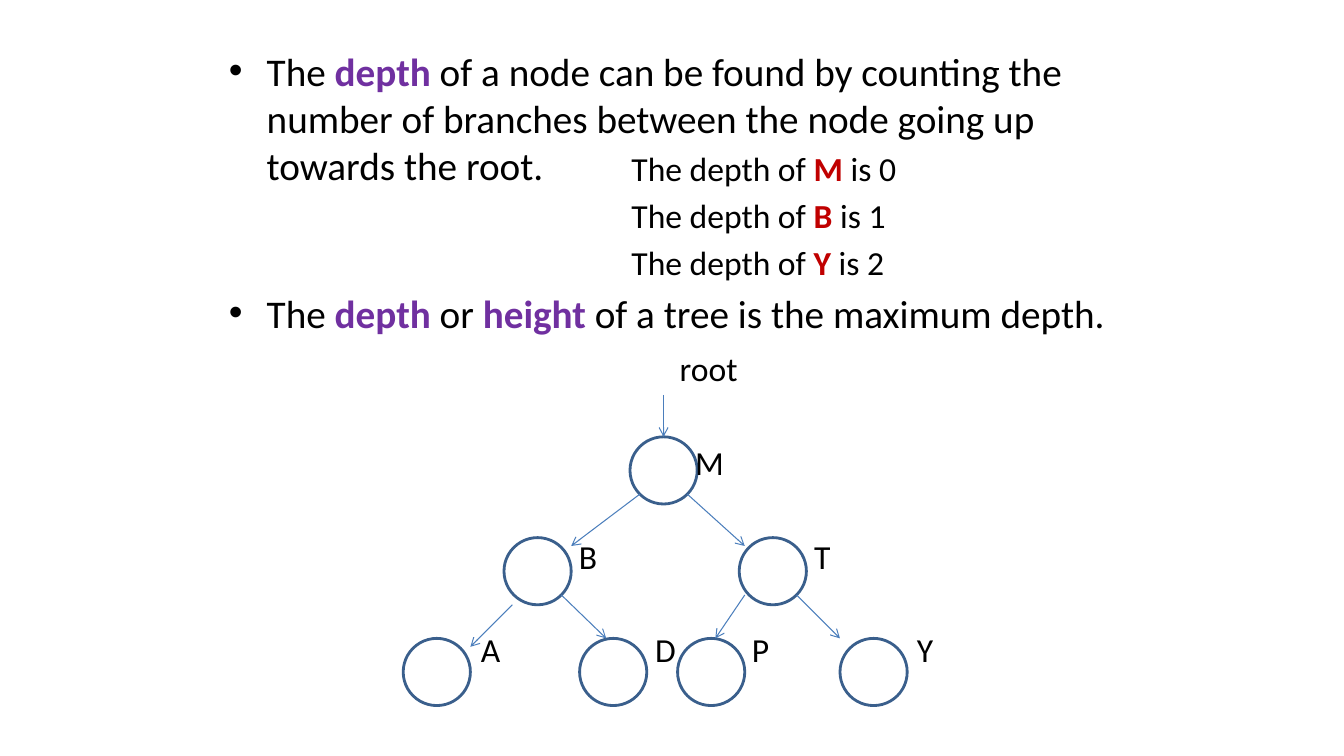
from lxml import etree
from pptx import Presentation
from pptx.dml.color import RGBColor
from pptx.enum import shapes, text
from pptx.oxml import ns
from pptx.util import Pt

COLORS = {"ink": "000000", "term": "7030A0", "node": "C00000",
          "circle": "3A5F8C", "arrow": "4B7EBC"}
DIAMETER = 48
BULLETS = [
    [("The ", "ink"), ("depth", "term"),
     (" of a node can be found by counting the number of branches "
      "between the node going up towards the root.", "ink")],
    [("The ", "ink"), ("depth", "term"), (" or ", "ink"), ("height", "term"),
     (" of a tree is the maximum depth.", "ink")],
]
DEPTHS = [("M", 0), ("B", 1), ("Y", 2)]
# name: circle left, label left, level
NODES = {
    "M": (450, 496.5, 0),
    "B": (360, 413.5, 1), "T": (528, 581.5, 1),
    "A": (288, 343.5, 2), "D": (414, 468, 2),
    "P": (484, 537, 2), "Y": (600, 655, 2),
}
ARROWS = [
    (474, 282, 474, 312),
    (457, 353, 408, 390), (491, 353, 532, 390),
    (366, 432, 336, 462), (401, 425, 433, 456),
    (532, 425, 511, 456), (569, 425, 600, 456),
]


def color(name):
    """Return the named colour."""
    return RGBColor.from_string(COLORS[name])


def add_text(page, left, top, width, height, lines, size, gap=0, bullet=False):
    """Add a text box whose lines are lists of (words, colour) spans."""
    box = page.shapes.add_textbox(Pt(left), Pt(top), Pt(width), Pt(height))
    frame = box.text_frame
    frame.word_wrap = True
    frame.margin_left = frame.margin_right = 0
    frame.margin_top = frame.margin_bottom = 0
    frame.vertical_anchor = text.MSO_ANCHOR.TOP
    for index, spans in enumerate(lines):
        para = frame.paragraphs[0] if index == 0 else frame.add_paragraph()
        if bullet:
            add_bullet(para)
        if index:
            para.space_before = Pt(gap)
        for words, shade in spans:
            span = para.add_run()
            span.text = words
            span.font.name = "Calibri"
            span.font.size = Pt(size)
            span.font.bold = shade != "ink"
            span.font.color.rgb = color(shade)


def add_bullet(para):
    """Give a paragraph a hanging round bullet."""
    props = para._p.get_or_add_pPr()
    props.set("marL", str(Pt(27)))
    props.set("indent", str(-Pt(27)))
    etree.SubElement(props, ns.qn("a:buFont")).set("typeface", "Arial")
    etree.SubElement(props, ns.qn("a:buChar")).set("char", "•")


def add_node(page, name, left, label_left, level):
    """Add a tree node's circle and its label."""
    circle = page.shapes.add_shape(
        shapes.MSO_SHAPE.OVAL, Pt(left), Pt(312 + 72 * level),
        Pt(DIAMETER), Pt(DIAMETER))
    circle.shadow.inherit = False
    circle.fill.background()
    circle.line.color.rgb = color("circle")
    circle.line.width = Pt(2)
    add_text(page, label_left, 315.5 + 67 * level, 24, 30, [[(name, "ink")]], 24)


def add_arrow(page, *ends):
    """Add a thin line with an open arrowhead at its end."""
    arrow = page.shapes.add_connector(
        shapes.MSO_CONNECTOR.STRAIGHT, *(Pt(end) for end in ends))
    arrow.line.color.rgb = color("arrow")
    arrow.line.width = Pt(0.75)
    etree.SubElement(arrow.line._get_or_add_ln(), ns.qn("a:tailEnd")).set("type", "arrow")
    etree.SubElement(arrow._element.spPr, ns.qn("a:effectLst"))


def main():
    """Build the slide on tree depth."""
    deck = Presentation()
    deck.slide_width, deck.slide_height = Pt(960), Pt(540)
    page = deck.slides.add_slide(deck.slide_layouts[6])
    add_text(page, 163.5, 33.5, 633, 210, BULLETS, 28, gap=72, bullet=True)
    depths = [[("The depth of ", "ink"), (name, "node"), (f" is {depth}", "ink")]
              for name, depth in DEPTHS]
    add_text(page, 451, 105.5, 240, 98, depths, 24, gap=4.8)
    add_text(page, 485.5, 248.5, 60, 30, [[("root", "ink")]], 24)
    for name, place in NODES.items():
        add_node(page, name, *place)
    for ends in ARROWS:
        add_arrow(page, *ends)
    deck.save("out.pptx")


if __name__ == "__main__":
    main()
